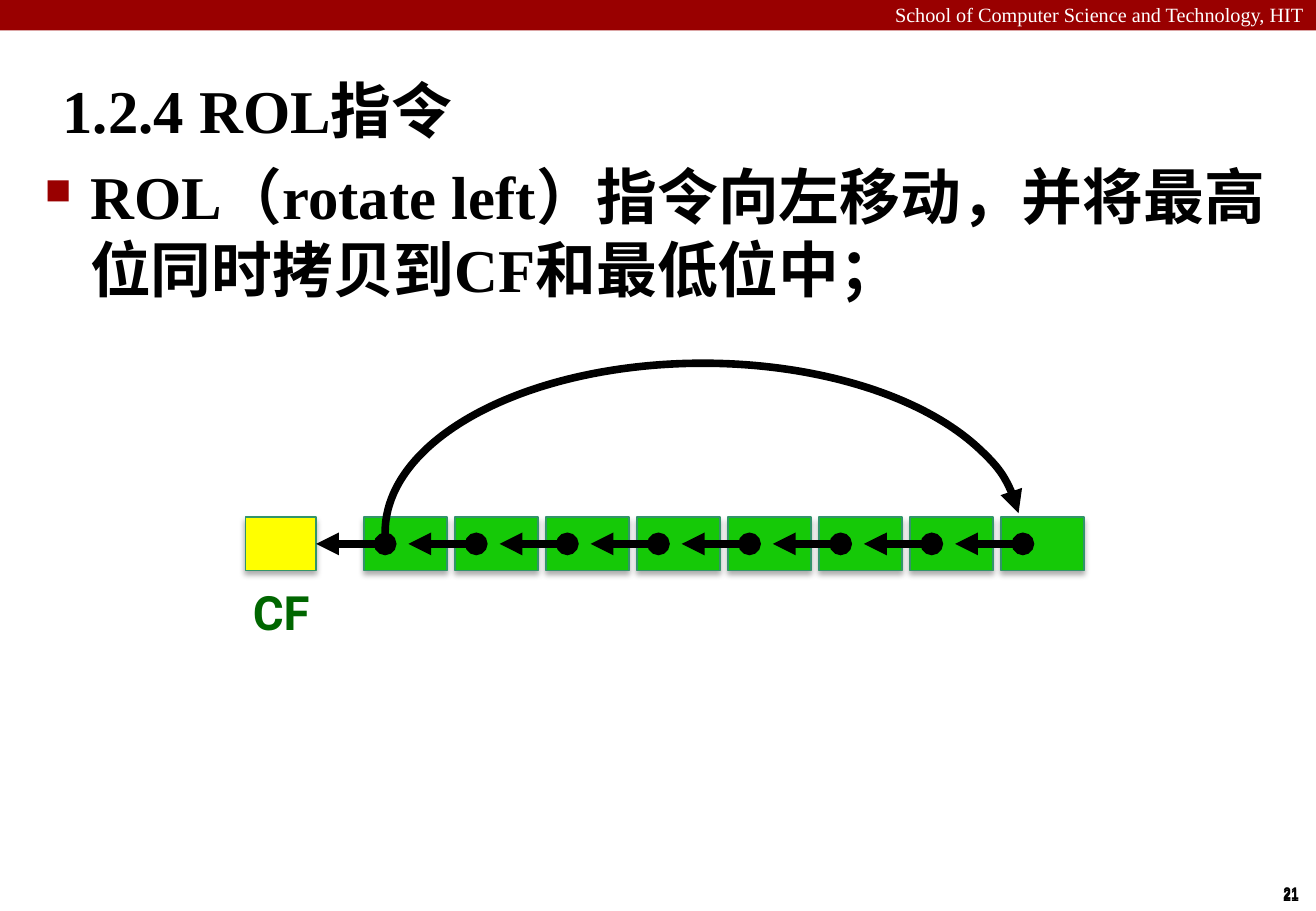
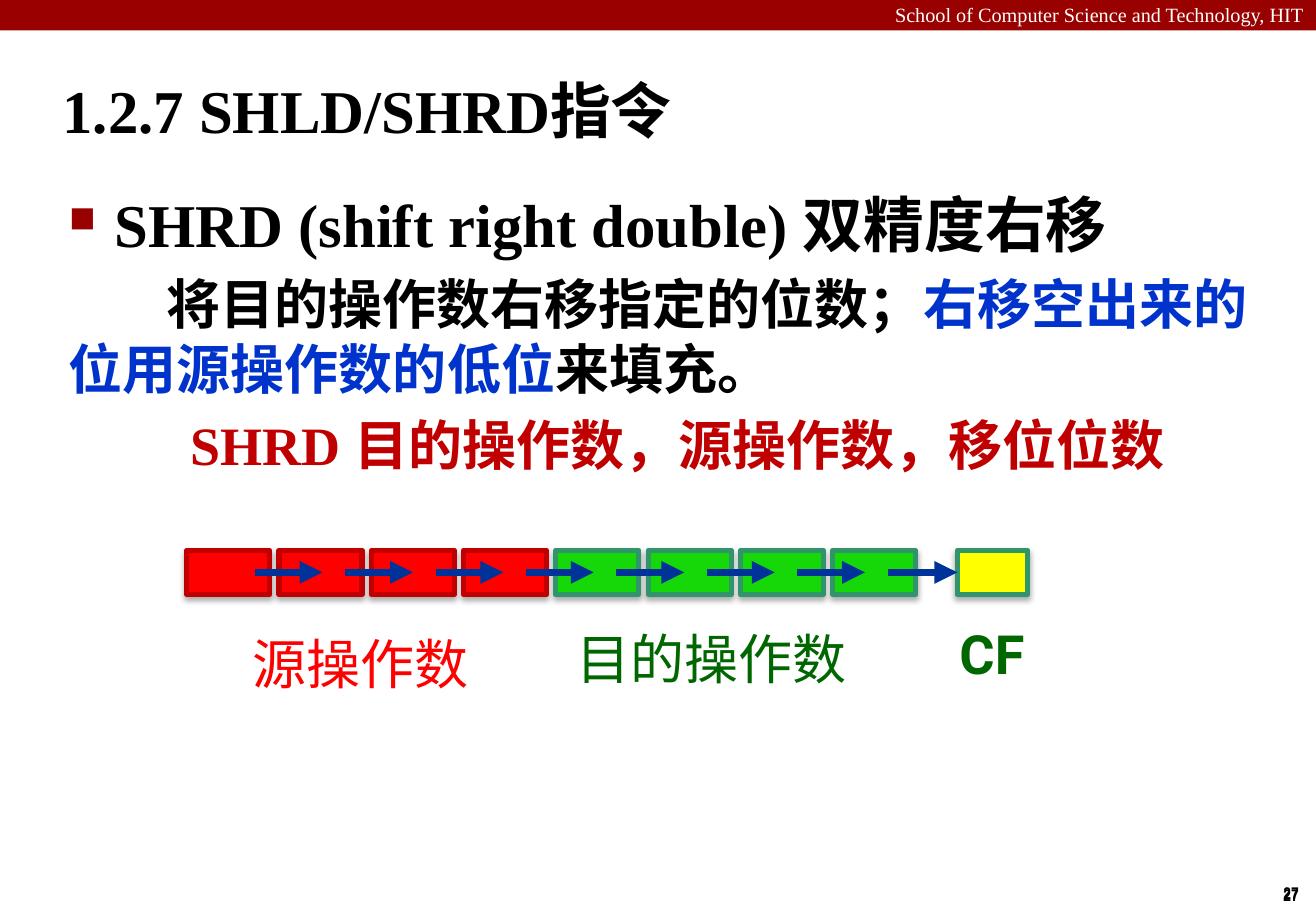
from dataclasses import dataclass
from typing import Optional

from lxml.etree import SubElement
from pptx import Presentation
from pptx.dml.color import RGBColor
from pptx.enum.shapes import MSO_CONNECTOR, MSO_SHAPE
from pptx.enum.text import MSO_ANCHOR, PP_ALIGN
from pptx.oxml.ns import qn
from pptx.util import Pt


@dataclass(frozen=True)
class Theme:
    band: str = "990000"
    white: str = "FFFFFF"
    ink: str = "000000"
    emphasis: str = "0033CC"
    syntax: str = "C00000"
    arrow: str = "003399"
    rotate_bit: str = "15C907"
    target_bit: str = "16D707"
    source_bit: str = "FF0000"
    bit_edge: str = "32946A"
    source_edge: str = "C00000"
    carry: str = "FFFF00"
    label: str = "006600"
    serif: str = "Times New Roman"
    sans: str = "Roboto"
    narrow: str = "Arial Narrow"
    title_size: float = 36
    body_size: float = 32
    small_label_size: float = 28
    header_size: float = 12
    number_size: float = 10


THEME = Theme()
SLIDE_WIDTH, SLIDE_HEIGHT = 780, 540


@dataclass(frozen=True)
class Box:
    left: float
    top: float
    width: float
    height: float

    @property
    def middle(self) -> float:
        return self.top + self.height / 2


@dataclass(frozen=True)
class Run:
    text: str
    size: float = THEME.title_size
    color: str = THEME.ink
    font: str = THEME.serif
    bold: bool = True


@dataclass(frozen=True)
class Para:
    runs: tuple[Run, ...]
    align: PP_ALIGN = PP_ALIGN.LEFT
    margin: float = 0
    indent: float = 0
    before: float = 0
    bullet: bool = False


@dataclass(frozen=True)
class Bits:
    """A row of equal bit cells."""
    first: Box
    pitch: float
    fills: tuple[str, ...]
    edges: tuple[str, ...]
    edge_width: float


@dataclass(frozen=True)
class Shifts:
    """Equally spaced arrows; a negative length points left."""
    start: float
    pitch: float
    length: float
    color: str
    head: Optional[str] = None


def rgb(value: str) -> RGBColor:
    return RGBColor.from_string(value)


# Text
def add_text(slide, box: Box, paras: list[Para], wrap: bool = True,
             anchor: MSO_ANCHOR = MSO_ANCHOR.TOP) -> None:
    frame = slide.shapes.add_textbox(
        Pt(box.left), Pt(box.top), Pt(box.width), Pt(box.height)).text_frame
    frame.word_wrap = wrap
    frame.vertical_anchor = anchor
    for index, para in enumerate(paras):
        paragraph = frame.add_paragraph() if index else frame.paragraphs[0]
        paragraph.alignment = para.align
        if para.before:
            paragraph.space_before = Pt(para.before)
        properties = paragraph._p.get_or_add_pPr()
        properties.set("marL", str(Pt(para.margin)))
        properties.set("indent", str(Pt(para.indent)))
        if para.bullet:
            bullet_color = SubElement(properties, qn("a:buClr"))
            SubElement(bullet_color, qn("a:srgbClr"), val=THEME.band)
            SubElement(properties, qn("a:buSzPct"), val="60000")
            SubElement(properties, qn("a:buChar"), char="■")
        for part in para.runs:
            run = paragraph.add_run()
            run.text = part.text
            run.font.name = part.font
            run.font.size = Pt(part.size)
            run.font.bold = part.bold
            run.font.color.rgb = rgb(part.color)


def add_label(slide, box: Box, text: str, color: str = THEME.label,
              size: float = THEME.body_size, bold: bool = False,
              align: PP_ALIGN = PP_ALIGN.CENTER) -> None:
    run = Run(text, size, color, THEME.sans, bold)
    add_text(slide, box, [Para((run,), align)])


# Cells and arrows
def add_cell(slide, box: Box, fill: str, edge: str, edge_width: float):
    cell = slide.shapes.add_shape(
        MSO_SHAPE.RECTANGLE, Pt(box.left), Pt(box.top), Pt(box.width), Pt(box.height))
    cell.fill.solid()
    cell.fill.fore_color.rgb = rgb(fill)
    cell.line.color.rgb = rgb(edge)
    cell.line.width = Pt(edge_width)
    cell.shadow.inherit = False
    effects = cell._element.spPr.find(qn("a:effectLst"))
    shadow = SubElement(effects, qn("a:outerShdw"), blurRad=str(Pt(3.5)),
                        dist=str(Pt(2.2)), dir="5400000", rotWithShape="0")
    shade = SubElement(shadow, qn("a:srgbClr"), val=THEME.ink)
    SubElement(shade, qn("a:alpha"), val="32000")
    return cell


def style_arrow(arrow, color: str, head: Optional[str] = None) -> None:
    arrow.line.color.rgb = rgb(color)
    arrow.line.width = Pt(4.5)
    outline = arrow._element.spPr.find(qn("a:ln"))
    if head:
        SubElement(outline, qn("a:headEnd"), type=head)
    SubElement(outline, qn("a:tailEnd"), type="triangle")


def add_register(slide, bits: Bits, shifts: Shifts, carry: Box) -> None:
    first = bits.first
    for index, (fill, edge) in enumerate(zip(bits.fills, bits.edges)):
        cell = Box(first.left + index * bits.pitch, first.top, first.width, first.height)
        add_cell(slide, cell, fill, edge, bits.edge_width)
    carry_cell = add_cell(slide, carry, THEME.carry, THEME.bit_edge, bits.edge_width)

    # The outermost arrow is joined to the carry cell
    leftward = shifts.length < 0
    joined = 0 if leftward else len(bits.fills) - 1
    level = Pt(first.middle)
    for index in range(len(bits.fills)):
        start = shifts.start + index * shifts.pitch
        arrow = slide.shapes.add_connector(
            MSO_CONNECTOR.STRAIGHT, Pt(start), level, Pt(start + shifts.length), level)
        style_arrow(arrow, shifts.color, shifts.head)
        SubElement(arrow._element.spPr, qn("a:effectLst"))
        if index == joined:
            arrow.end_connect(carry_cell, 3 if leftward else 1)


# Band, header, page number and title of every slide
def add_page(deck, number: str, title: str):
    slide = deck.slides.add_slide(deck.slide_layouts[6])
    band = slide.shapes.add_shape(
        MSO_SHAPE.RECTANGLE, 0, 0, Pt(SLIDE_WIDTH), Pt(18))
    band.fill.solid()
    band.fill.fore_color.rgb = rgb(THEME.band)
    band.line.fill.background()
    band.shadow.inherit = False
    school = Run("School of Computer Science and Technology, HIT",
                 THEME.header_size, THEME.white, bold=False)
    add_text(slide, Box(0, -2, SLIDE_WIDTH, 21.6), [Para((school,), PP_ALIGN.RIGHT)])
    page = Run(number, THEME.number_size, font=THEME.narrow)
    for top in (520.6, 519.8):
        add_text(slide, Box(753, top, 24.5, 19.4),
                 [Para((page,), PP_ALIGN.CENTER)], wrap=False)
    add_text(slide, Box(30, 34.6, 750, 59.8),
             [Para((Run(title),), margin=9.4, indent=-9.4)], anchor=MSO_ANCHOR.MIDDLE)
    return slide


def bullet(text: str) -> Para:
    return Para((Run(text),), margin=27, indent=-27, bullet=True)


def build_rol(deck) -> None:
    slide = add_page(deck, "21", "1.2.4 ROL指令")
    add_text(slide, Box(19.4, 90.7, 744.5, 404.6), [bullet(
        "ROL（rotate left）指令向左移动，并将最高位同时拷贝到CF和最低位中；")])
    add_register(
        slide,
        Bits(Box(215.8, 306.6, 49.2, 31.6), 53.95,
             (THEME.rotate_bit,) * 8, (THEME.bit_edge,) * 8, 1),
        Shifts(228.3, 54, -40.2, THEME.ink, "oval"),
        Box(145.6, 306.6, 41.8, 31.6))
    add_label(slide, Box(136.8, 342, 59.8, 39.6), "CF",
              size=THEME.small_label_size, bold=True)

    # Highest bit wraps round to the lowest
    wraparound = slide.shapes.add_shape(
        MSO_SHAPE.ARC, Pt(228.3), Pt(215.3), Pt(376.6), Pt(200.2))
    wraparound.adjustments[0] = 107.35
    wraparound.adjustments[1] = 213.94
    wraparound.fill.background()
    wraparound.shadow.inherit = False
    style_arrow(wraparound, THEME.ink)


def build_shrd(deck) -> None:
    slide = add_page(deck, "27", "1.2.7 SHLD/SHRD指令")
    size = THEME.body_size
    meaning = (Run("将目的操作数右移指定的位数；", size),
               Run("右移空出来的位用源操作数的低位", size, THEME.emphasis),
               Run("来填充。", size))
    syntax = Run("SHRD 目的操作数，源操作数，移位位数", size, THEME.syntax)
    add_text(slide, Box(33.8, 107.3, 733, 414.7), [
        bullet("SHRD (shift right double) 双精度右移"),
        Para(meaning, indent=58, before=6.4),
        Para((syntax,), margin=72, before=6.4)])
    add_register(
        slide,
        Bits(Box(110.7, 326.2, 49.2, 26.2), 54.7,
             (THEME.source_bit,) * 4 + (THEME.target_bit,) * 4,
             (THEME.source_edge,) * 4 + (THEME.bit_edge,) * 4, 3),
        Shifts(151, 53.6, 40.1, THEME.arrow),
        Box(567.4, 326.2, 41.8, 26.2))
    add_label(slide, Box(561.6, 364.3, 69.8, 52.6), "CF",
              bold=True, align=PP_ALIGN.LEFT)
    add_label(slide, Box(88.6, 370, 249.8, 46), "源操作数", THEME.source_bit)
    add_label(slide, Box(296.6, 367.2, 250.6, 46), "目的操作数")


def main() -> None:
    deck = Presentation()
    deck.slide_width, deck.slide_height = Pt(SLIDE_WIDTH), Pt(SLIDE_HEIGHT)
    build_rol(deck)
    build_shrd(deck)
    deck.save("out.pptx")


if __name__ == "__main__":
    main()
